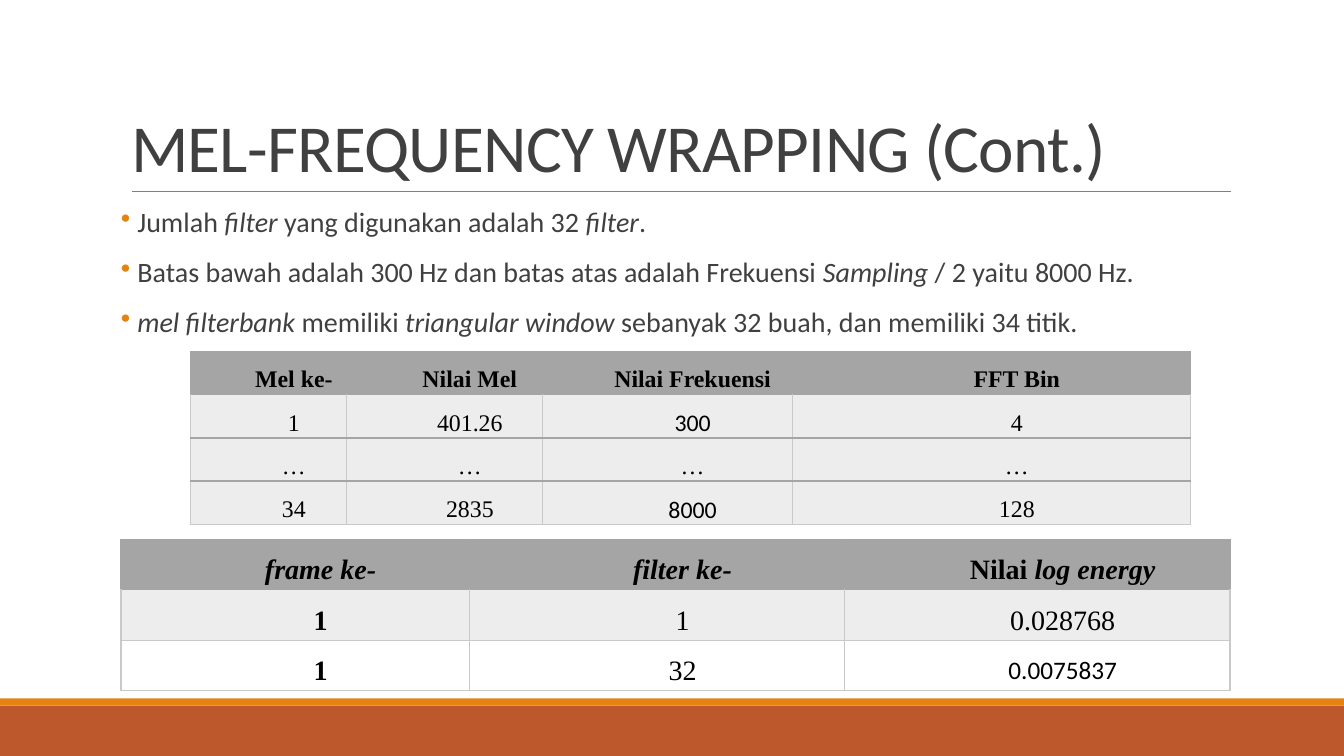
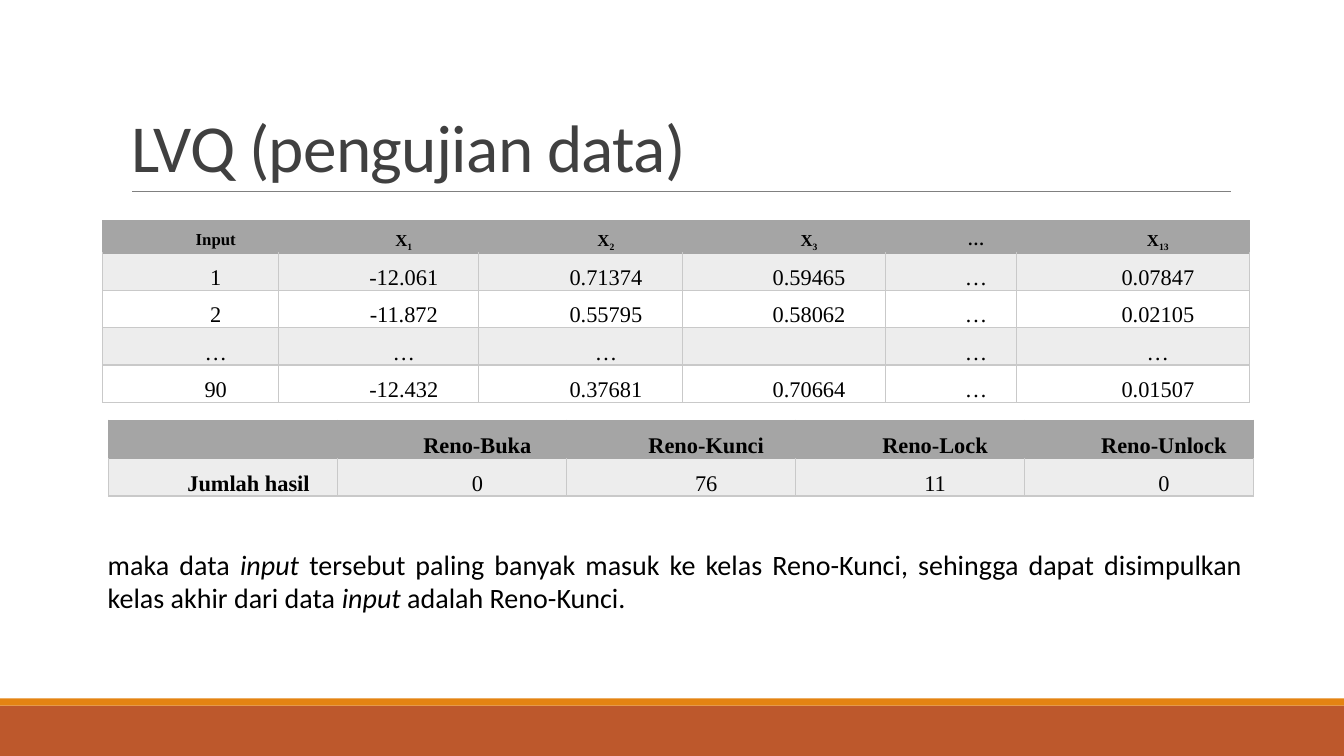
"""Build two slides on mel-frequency wrapping and LVQ testing."""
from dataclasses import dataclass, field
from typing import Any

from lxml import etree
from pptx import Presentation
from pptx.dml.color import RGBColor
from pptx.enum.shapes import MSO_CONNECTOR, MSO_SHAPE
from pptx.enum.text import MSO_ANCHOR, MSO_AUTO_SIZE, PP_ALIGN
from pptx.oxml.ns import qn
from pptx.util import Inches, Pt

RECTANGLE = MSO_SHAPE.RECTANGLE
STRAIGHT = MSO_CONNECTOR.STRAIGHT
TOP, MIDDLE, BOTTOM = MSO_ANCHOR.TOP, MSO_ANCHOR.MIDDLE, MSO_ANCHOR.BOTTOM
NO_AUTOFIT = MSO_AUTO_SIZE.NONE
LEFT, CENTER, JUSTIFY = PP_ALIGN.LEFT, PP_ALIGN.CENTER, PP_ALIGN.JUSTIFY

RUST = RGBColor(0xBD, 0x58, 0x2C)
ORANGE = RGBColor(0xE4, 0x83, 0x12)
RULE_GRAY = RGBColor(0x80, 0x80, 0x80)
TEXT_GRAY = RGBColor(0x40, 0x40, 0x40)
HEADER_GRAY = RGBColor(0xA5, 0xA5, 0xA5)
BORDER_GRAY = RGBColor(0xC9, 0xC9, 0xC9)
BAND_GRAY = RGBColor(0xED, 0xED, 0xED)
BLACK = RGBColor(0, 0, 0)

SANS, SERIF = "Calibri", "Times New Roman"


@dataclass(frozen=True)
class Span:
    """A piece of text with its own font values and run attributes."""

    text: str
    font: dict[str, Any] = field(default_factory=dict)
    attributes: dict[str, str] = field(default_factory=dict)


Content = str | tuple[Span, ...]


@dataclass(frozen=True)
class Band:
    """A full-width strip at the foot of the slide."""

    top: float
    height: float
    color: RGBColor


@dataclass(frozen=True)
class TableSpec:
    """Place, sizes and contents of one table, header row first."""

    left: float
    top: float
    columns: tuple[float, ...]
    heights: tuple[float, ...]
    rows: tuple[tuple[Content, ...], ...]
    header_size: int
    body_size: int
    anchor: Any = TOP
    margin: float = 0.07
    bold_first_column: bool = False
    all_banded: bool = False
    inner_color: RGBColor = BORDER_GRAY


def italic(text: str) -> Span:
    """Return a span in italics."""
    return Span(text, {"italic": True})


def indexed(index: str) -> tuple[Span, ...]:
    """Return the letter X with a subscript."""
    return Span("X"), Span(index, attributes={"baseline": "-25000"})


def sans(text: str, **font: Any) -> tuple[Span, ...]:
    """Return cell content in the sans font."""
    return (Span(text, {"name": SANS, **font}),)


BANDS = (Band(7, 0.5, RUST), Band(6.93, 0.07, ORANGE))
TITLE_FONT = {"name": SANS, "size": Pt(48)}
BODY_FONT = {"name": SANS, "size": Pt(20)}

BULLETS = (
    (Span(" Jumlah "), italic("filter "), Span("yang digunakan adalah 32 "),
     italic("filter"), Span(".")),
    (Span(" Batas bawah adalah 300 Hz dan batas atas adalah Frekuensi "),
     italic("Sampling"), Span(" / 2 yaitu 8000 Hz.")),
    (Span(" "), italic("mel filterbank "), Span("memiliki "),
     italic("triangular window "),
     Span("sebanyak 32 buah, dan memiliki 34 titik.")),
)
CONCLUSION = (
    Span("maka data "), italic("input "),
    Span("tersebut paling banyak masuk ke kelas Reno-Kunci, sehingga dapat "
         "disimpulkan kelas akhir dari data "),
    italic("input "), Span("adalah Reno-Kunci."),
)

MEL_TABLE = TableSpec(
    1.89, 3.49, (1.55, 1.94, 2.48, 3.95), (0.42, 0.43, 0.42, 0.43),
    (
        ("Mel ke-", "Nilai Mel", "Nilai Frekuensi", "FFT Bin"),
        ("1", "401.26", sans("300"), "4"),
        ("…",) * 4,
        ("34", "2835", sans("8000"), "128"),
    ),
    17, 17, MIDDLE, 0.1, all_banded=True, inner_color=HEADER_GRAY,
)
ENERGY_TABLE = TableSpec(
    1.2, 5.35, (3.46, 3.72, 3.82), (0.46,) * 3,
    (
        ((italic("frame ke-"),), (italic("filter ke-"),),
         (Span("Nilai "), italic("log energy"))),
        ("1", "1", "0.028768"),
        ("1", "32", sans("0.0075837", size=Pt(18))),
    ),
    20, 20, bold_first_column=True,
)
INPUT_TABLE = TableSpec(
    1.02, 2.19, (1.74, 1.99, 2.02, 2.01, 1.3, 2.31), (0.32,) + (0.37,) * 4,
    (
        ("Input", indexed("1"), indexed("2"), indexed("3"), "…",
         indexed("13")),
        ("1", "-12.061", "0.71374", "0.59465", "…", "0.07847"),
        ("2", "-11.872", "0.55795", "0.58062", "…", "0.02105"),
        ("…", "…", "…", "", "…", "…"),
        ("90", "-12.432", "0.37681", "0.70664", "…", "0.01507"),
    ),
    12, 16,
)
RESULT_TABLE = TableSpec(
    1.08, 4.17, (2.27,) * 5, (0.38, 0.37),
    (
        ("", "Reno-Buka", "Reno-Kunci", "Reno-Lock", "Reno-Unlock"),
        ("Jumlah hasil", "0", "76", "11", "0"),
    ),
    16, 16, MIDDLE, bold_first_column=True,
)


def assign(target: Any, values: dict[str, Any]) -> None:
    """Set each named attribute on the target."""
    for name, value in values.items():
        setattr(target, name, value)


def write(para: Any, content: Content, font: dict[str, Any],
          color: RGBColor) -> None:
    """Add the content to a paragraph as formatted runs."""
    spans = content if isinstance(content, tuple) else (Span(content),)
    for span in spans:
        run = para.add_run()
        run.text = span.text
        assign(run.font, {**font, **span.font})
        run.font.color.rgb = color
        for name, value in span.attributes.items():
            run.font._element.set(name, value)


def indent(para: Any, margin: float, first_line: float) -> Any:
    """Set paragraph indents and return its properties element."""
    properties = para._p.get_or_add_pPr()
    properties.set("marL", str(Inches(margin)))
    properties.set("indent", str(Inches(first_line)))
    return properties


def add_bullet(para: Any) -> None:
    """Give a paragraph an orange hanging bullet."""
    properties = indent(para, 0.1, -0.1)
    bullet_color = etree.SubElement(properties, qn("a:buClr"))
    etree.SubElement(bullet_color, qn("a:srgbClr"), val=str(ORANGE))
    etree.SubElement(properties, qn("a:buChar"), char="•")


def set_borders(cell: Any, colors: dict[str, RGBColor]) -> None:
    """Draw one-point borders on the sides of a cell."""
    properties = cell._tc.get_or_add_tcPr()
    for side, color in colors.items():
        line = etree.SubElement(properties, qn(f"a:ln{side}"), w=str(Pt(1)))
        fill = etree.SubElement(line, qn("a:solidFill"))
        etree.SubElement(fill, qn("a:srgbClr"), val=str(color))


def format_cell(cell: Any, spec: TableSpec, row: int, column: int) -> None:
    """Format and fill one table cell."""
    header = row == 0
    last = row == len(spec.rows) - 1
    side = HEADER_GRAY if header else BORDER_GRAY
    top = HEADER_GRAY if row <= 1 else spec.inner_color
    bottom = HEADER_GRAY if header else BORDER_GRAY if last else spec.inner_color
    set_borders(cell, {"L": side, "R": side, "T": top, "B": bottom})
    if header or spec.all_banded or row % 2:
        cell.fill.solid()
        cell.fill.fore_color.rgb = HEADER_GRAY if header else BAND_GRAY
    else:
        cell.fill.background()
    assign(cell, {
        "margin_left": Inches(spec.margin), "margin_right": Inches(spec.margin),
        "margin_top": 0, "margin_bottom": 0, "vertical_anchor": spec.anchor,
    })
    content = spec.rows[row][column]
    if content:
        para = cell.text_frame.paragraphs[0]
        assign(para, {"alignment": CENTER, "line_spacing": 1.5})
        indent(para, 0, 0.5)
        font = {
            "name": SERIF,
            "size": Pt(spec.header_size if header else spec.body_size),
            "bold": header or (spec.bold_first_column and column == 0),
        }
        write(para, content, font, BLACK)


def add_data_table(page: Any, spec: TableSpec) -> None:
    """Add a table built from its description."""
    table = page.shapes.add_table(
        len(spec.rows), len(spec.columns), Inches(spec.left), Inches(spec.top),
        Inches(sum(spec.columns)), Inches(sum(spec.heights))).table
    table.horz_banding = False
    for column, width in zip(table.columns, spec.columns):
        column.width = Inches(width)
    for row_index, height in enumerate(spec.heights):
        table.rows[row_index].height = Inches(height)
        for column_index in range(len(spec.columns)):
            format_cell(table.cell(row_index, column_index), spec,
                        row_index, column_index)


def add_page(deck: Any, title: str) -> Any:
    """Add a slide with its bands, rule and title."""
    page = deck.slides.add_slide(deck.slide_layouts[5])
    for band in BANDS:
        strip = page.shapes.add_shape(RECTANGLE, 0, Inches(band.top),
                                      deck.slide_width, Inches(band.height))
        strip.shadow.inherit = False
        strip.fill.solid()
        strip.fill.fore_color.rgb = band.color
        strip.line.fill.background()
    rule = page.shapes.add_connector(STRAIGHT, Inches(1.31), Inches(1.9),
                                     Inches(12.21), Inches(1.9))
    rule.line.color.rgb = RULE_GRAY
    rule.line.width = Pt(0.5)
    etree.SubElement(rule._element.spPr, qn("a:effectLst"))
    heading = page.shapes.title
    assign(heading, {"left": Inches(1.2), "top": Inches(0.31),
                     "width": Inches(11), "height": Inches(1.59)})
    assign(heading.text_frame, {"vertical_anchor": BOTTOM, "word_wrap": True,
                                "auto_size": NO_AUTOFIT})
    para = heading.text_frame.paragraphs[0]
    assign(para, {"alignment": LEFT, "line_spacing": 0.85})
    write(para, (Span(title, attributes={"spc": "-50"}),), TITLE_FONT, TEXT_GRAY)
    return page


def add_text_frame(page: Any, left: float, top: float, width: float,
                   height: float) -> Any:
    """Add a wrapping text box and return its frame."""
    box = page.shapes.add_textbox(Inches(left), Inches(top), Inches(width),
                                  Inches(height))
    box.text_frame.word_wrap = True
    return box.text_frame


def build_wrapping_page(deck: Any) -> None:
    """Build the slide on mel-frequency wrapping."""
    page = add_page(deck, "MEL-FREQUENCY WRAPPING (Cont.)")
    frame = add_text_frame(page, 1.2, 2.02, 11, 1.4)
    assign(frame, {"margin_left": 0, "margin_right": 0})
    for index, bullet in enumerate(BULLETS):
        para = frame.add_paragraph() if index else frame.paragraphs[0]
        assign(para, {"line_spacing": 0.9, "space_before": Pt(12),
                      "space_after": Pt(2)})
        add_bullet(para)
        write(para, bullet, BODY_FONT, TEXT_GRAY)
    add_data_table(page, MEL_TABLE)
    add_data_table(page, ENERGY_TABLE)


def build_testing_page(deck: Any) -> None:
    """Build the slide on testing the LVQ data."""
    page = add_page(deck, "LVQ (pengujian data)")
    add_data_table(page, INPUT_TABLE)
    add_data_table(page, RESULT_TABLE)
    para = add_text_frame(page, 0.97, 5.38, 11.45, 0.77).paragraphs[0]
    para.alignment = JUSTIFY
    write(para, CONCLUSION, BODY_FONT, BLACK)


def main() -> None:
    """Build and save the deck."""
    deck = Presentation()
    assign(deck, {"slide_width": Inches(13.33), "slide_height": Inches(7.5)})
    build_wrapping_page(deck)
    build_testing_page(deck)
    deck.save("out.pptx")


if __name__ == "__main__":
    main()
